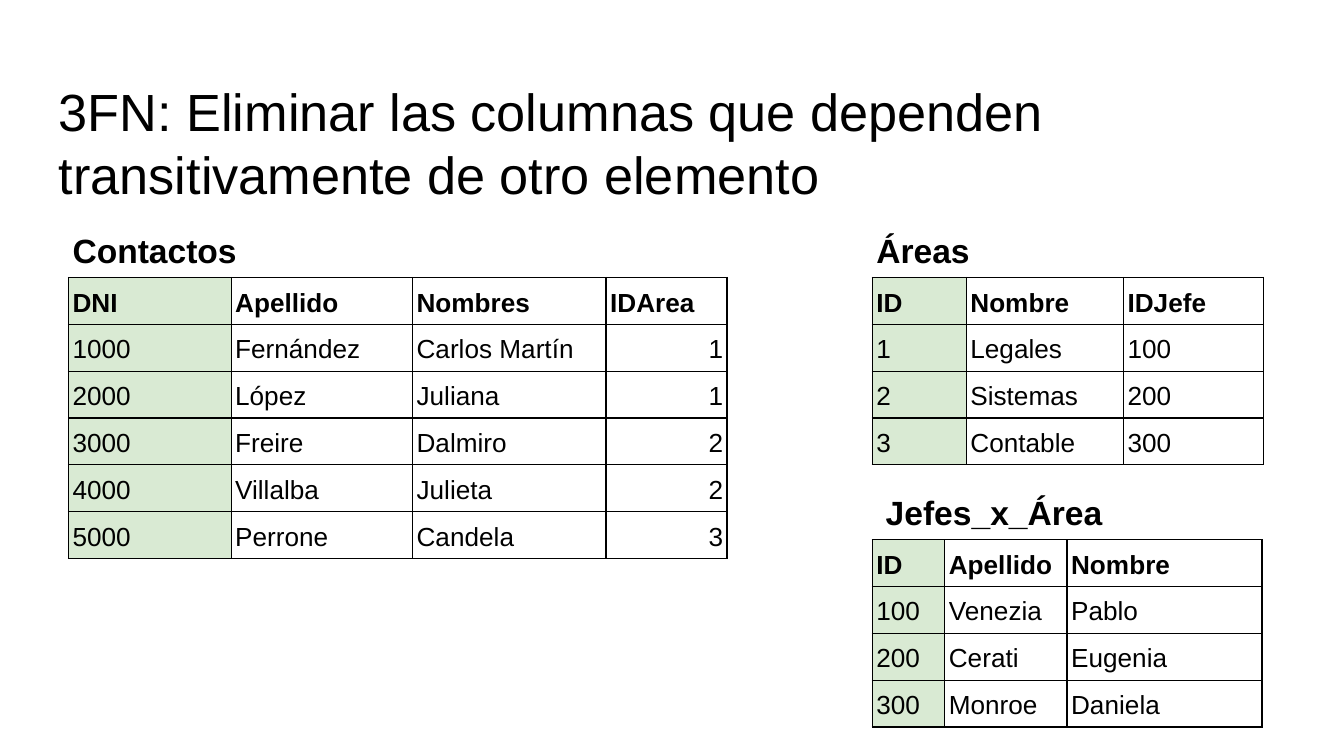
from lxml.etree import SubElement
from pptx import Presentation
from pptx.dml.color import RGBColor
from pptx.enum.text import MSO_ANCHOR, PP_ALIGN
from pptx.oxml.ns import qn
from pptx.util import Inches, Pt

# Content
TITLE = "3FN: Eliminar las columnas que dependen transitivamente de otro elemento"
TABLES = [
    {
        "name": "Contactos", "column": "left", "top": 1.64, "name_inset": 0.03,
        "widths": [1.21, 1.35, 1.44, 0.9], "right_aligned": {3},
        "rows": [
            ("DNI", "Apellido", "Nombres", "IDArea"),
            ("1000", "Fernández", "Carlos Martín", "1"),
            ("2000", "López", "Juliana", "1"),
            ("3000", "Freire", "Dalmiro", "2"),
            ("4000", "Villalba", "Julieta", "2"),
            ("5000", "Perrone", "Candela", "3"),
        ],
    },
    {
        "name": "Áreas", "column": "right", "top": 1.64, "name_inset": 0.03,
        "widths": [0.7, 1.17, 1.04], "right_aligned": set(),
        "rows": [
            ("ID", "Nombre", "IDJefe"),
            ("1", "Legales", "100"),
            ("2", "Sistemas", "200"),
            ("3", "Contable", "300"),
        ],
    },
    {
        "name": "Jefes_x_Área", "column": "right", "top": 3.59, "name_inset": 0.1,
        "widths": [0.54, 0.91, 1.45], "right_aligned": set(),
        "rows": [
            ("ID", "Apellido", "Nombre"),
            ("100", "Venezia", "Pablo"),
            ("200", "Cerati", "Eugenia"),
            ("300", "Monroe", "Daniela"),
        ],
    },
]

# Theme and grid, in inches and points
THEME = {
    "font": "Arial", "text": "000000", "border": "000000", "key": "D9EAD3",
    "title_size": 28, "name_size": 18, "cell_size": 14, "border_width": 0.75,
}
SLIDE_WIDTH = Inches(10)
SLIDE_HEIGHT = SLIDE_WIDTH * 9 // 16
COLUMN_LEFT = {"left": 0.51, "right": 6.49}
NAME_HEIGHT, ROW_HEIGHT = 0.36, 0.29
INSET_X, INSET_TOP, INSET_BOTTOM = 0.03, 0.03, 0.05


def apply_format(target, values):
    for name, value in values.items():
        setattr(target, name, value)


def write_text(paragraph, text, size, bold=False):
    run = paragraph.add_run()
    run.text = text
    apply_format(run.font, {"name": THEME["font"], "size": Pt(size), "bold": bold})
    run.font.color.rgb = RGBColor.from_string(THEME["text"])


def set_borders(cell, visible_sides):
    properties = cell._tc.get_or_add_tcPr()
    for side in "LRTB":
        line = SubElement(properties, qn(f"a:ln{side}"), w=str(Pt(THEME["border_width"])))
        if side in visible_sides:
            fill = SubElement(line, qn("a:solidFill"))
            SubElement(fill, qn("a:srgbClr"), val=THEME["border"])
        else:
            SubElement(line, qn("a:noFill"))


def format_cell(cell, sides, inset=INSET_X, color=None):
    set_borders(cell, sides)
    apply_format(cell, {
        "vertical_anchor": MSO_ANCHOR.BOTTOM,
        "margin_left": Inches(inset), "margin_right": Inches(inset),
        "margin_top": Inches(INSET_TOP), "margin_bottom": Inches(INSET_BOTTOM),
    })
    if color:
        cell.fill.solid()
        cell.fill.fore_color.rgb = RGBColor.from_string(color)
    else:
        cell.fill.background()


def write_cell(cell, text, size, bold, alignment=PP_ALIGN.LEFT):
    paragraph = cell.text_frame.paragraphs[0]
    apply_format(paragraph, {"alignment": alignment, "line_spacing": 1.15})
    write_text(paragraph, text, size, bold)


def add_named_table(slide, data):
    rows, widths = data["rows"], data["widths"]
    table = slide.shapes.add_table(
        len(rows) + 1, len(widths),
        Inches(COLUMN_LEFT[data["column"]]), Inches(data["top"]),
        Inches(sum(widths)), Inches(NAME_HEIGHT + ROW_HEIGHT * len(rows)),
    ).table
    apply_format(table, {"first_row": False, "horz_banding": False})
    for column, width in zip(table.columns, widths):
        column.width = Inches(width)
    for index, row in enumerate(table.rows):
        row.height = Inches(ROW_HEIGHT if index else NAME_HEIGHT)

    # Table name across the first row
    for cell in table.rows[0].cells:
        format_cell(cell, "B", data["name_inset"])
    table.cell(0, 0).merge(table.cell(0, len(widths) - 1))
    write_cell(table.cell(0, 0), data["name"], THEME["name_size"], True)

    # Column heads and records, with the key column shaded
    for row_index, row in enumerate(rows):
        for column_index, text in enumerate(row):
            cell = table.cell(row_index + 1, column_index)
            format_cell(cell, "LRTB", color=None if column_index else THEME["key"])
            to_right = row_index and column_index in data["right_aligned"]
            write_cell(cell, text, THEME["cell_size"], row_index == 0,
                       PP_ALIGN.RIGHT if to_right else PP_ALIGN.LEFT)


def main():
    presentation = Presentation()
    apply_format(presentation, {"slide_width": SLIDE_WIDTH, "slide_height": SLIDE_HEIGHT})
    slide = presentation.slides.add_slide(presentation.slide_layouts[6])

    # Title
    frame = slide.shapes.add_textbox(
        Inches(0.34), Inches(0.49), Inches(9.32), Inches(0.63)).text_frame
    apply_format(frame, {"word_wrap": True, "vertical_anchor": MSO_ANCHOR.TOP})
    apply_format(frame, {f"margin_{side}": Inches(0.1)
                         for side in ("left", "right", "top", "bottom")})
    write_text(frame.paragraphs[0], TITLE, THEME["title_size"])

    # Tables
    for data in TABLES:
        add_named_table(slide, data)

    presentation.save("out.pptx")


if __name__ == "__main__":
    main()
